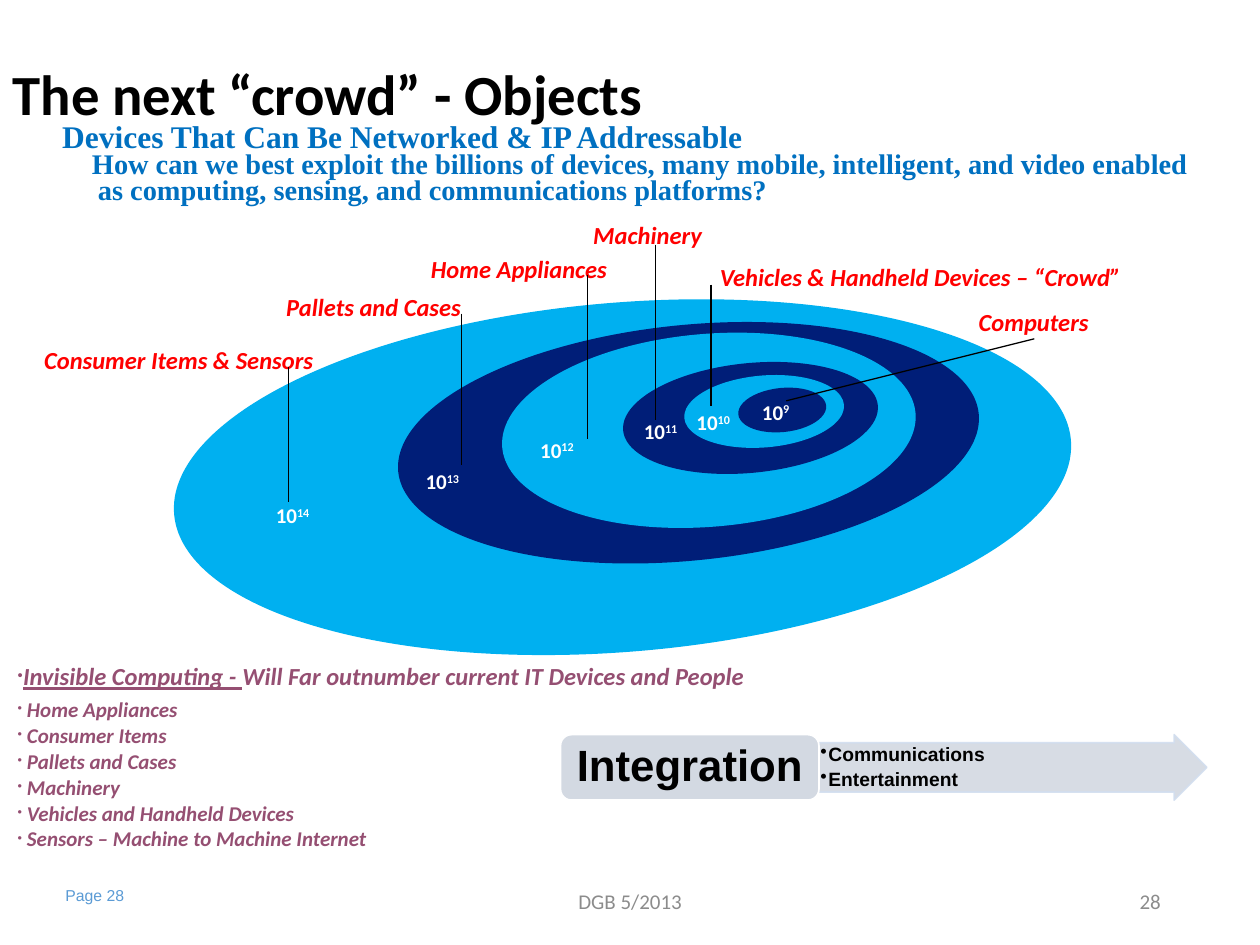
from dataclasses import dataclass

from lxml import etree
from pptx import Presentation
from pptx.dml.color import RGBColor
from pptx.enum.shapes import MSO_CONNECTOR, MSO_SHAPE
from pptx.enum.text import MSO_ANCHOR, MSO_AUTO_SIZE, PP_ALIGN
from pptx.oxml.ns import qn
from pptx.util import Cm, Pt

LEFT, CENTER, RIGHT = PP_ALIGN.LEFT, PP_ALIGN.CENTER, PP_ALIGN.RIGHT
TOP, MIDDLE, BOTTOM = MSO_ANCHOR.TOP, MSO_ANCHOR.MIDDLE, MSO_ANCHOR.BOTTOM
OVAL, ARROW, ROUNDED = MSO_SHAPE.OVAL, MSO_SHAPE.RIGHT_ARROW, MSO_SHAPE.ROUNDED_RECTANGLE
STRAIGHT = MSO_CONNECTOR.STRAIGHT
NO_FIT = MSO_AUTO_SIZE.NONE

SKY, NAVY, RED, PLUM = "00B0F0", "001E78", "FF0000", "954F72"
BLACK, WHITE, BLUE, GREY, PANEL = "000000", "FFFFFF", "0070C0", "8C8C8C", "D3D9E2"
SERIF = "Times New Roman"


@dataclass
class Ring:
    """One device class: ellipse box, count, label and leader line, in cm."""
    ellipse: tuple
    exponent: str
    count_at: tuple
    label: str
    label_at: tuple
    leader: tuple
    align: PP_ALIGN = LEFT
    wrap: bool = False


RINGS = [
    Ring((3.48, 6.1, 18.14, 7.04), "14", (5.31, 10.01), "Consumer Items & Sensors",
         (0.64, 6.83, 7.52), (5.82, 7.39, 5.82, 10.11), wrap=True),
    Ring((8, 6.55, 11.76, 4.75), "13", (8.33, 9.32), "Pallets and Cases",
         (5.16, 5.77, 4.75), (9.3, 6.32, 9.3, 9.37), CENTER),
    Ring((10.11, 6.73, 8.36, 3.89), "12", (10.64, 8.69), "Home Appliances",
         (8.13, 5, 4.67), (11.84, 5.54, 11.84, 8.84), CENTER),
    Ring((12.55, 7.32, 5.16, 2.21), "11", (12.73, 8.31), "Machinery",
         (11.71, 4.32, 2.97), (13.21, 4.93, 13.21, 8.46)),
    Ring((13.79, 7.57, 3.23, 1.45), "10", (13.79, 8.13), "Vehicles & Handheld Devices – “Crowd”",
         (14.05, 5.16, 9.02), (14.33, 5.74, 14.33, 8.18), CENTER, True),
    Ring((14.88, 7.82, 1.78, 0.89), "9", (15.11, 7.92), "Computers",
         (19.48, 6.07, 3.15), (20.85, 6.83, 15.85, 8.08)),
]

DEVICES = ["Home Appliances", "Consumer Items", "Pallets and Cases", "Machinery",
           "Vehicles and Handheld Devices", "Sensors – Machine to Machine Internet"]


def rgb(value: str) -> RGBColor:
    return RGBColor.from_string(value)


def add_run(p, text: str, size=12, color=BLACK, font="Calibri", bold=False,
            italic=False, underline=False, raised=False):
    r = p.add_run()
    r.text = text
    f = r.font
    f.size, f.name, f.bold, f.italic, f.underline = Pt(size), font, bold, italic, underline
    f.color.rgb = rgb(color)
    if raised:
        r._r.get_or_add_rPr().set("baseline", "30000")
    return r


def format_paragraph(p, align=LEFT, spacing=1.0, before=0, after=0, margin=0, indent=0, bullet_size=None):
    """Margin and indent are in cm; bullet_size is a percentage of the text."""
    p.alignment, p.line_spacing = align, spacing
    p.space_before, p.space_after = Pt(before), Pt(after)
    pPr = p._p.get_or_add_pPr()
    pPr.set("marL", str(Cm(margin)))
    pPr.set("indent", str(Cm(indent)))
    if bullet_size:
        etree.SubElement(pPr, qn("a:buSzPct")).set("val", str(bullet_size * 1000))
        etree.SubElement(pPr, qn("a:buChar")).set("char", "•")


def next_paragraph(tf, first: bool):
    return tf.paragraphs[0] if first else tf.add_paragraph()


def place(sp, x, y, w, h):
    sp.left, sp.top, sp.width, sp.height = Cm(x), Cm(y), Cm(w), Cm(h)


def add_text_box(s, box: tuple, wrap=True, anchor=TOP, align=LEFT):
    tf = s.shapes.add_textbox(*map(Cm, box)).text_frame
    tf.word_wrap, tf.vertical_anchor = wrap, anchor
    tf.paragraphs[0].alignment = align
    return tf


def add_filled(s, kind, box: tuple, fill: str, line=None, rotation=0.0):
    sp = s.shapes.add_shape(kind, *map(Cm, box))
    sp.shadow.inherit = False
    sp.rotation = rotation
    sp.fill.solid()
    sp.fill.fore_color.rgb = rgb(fill)
    if line:
        sp.line.color.rgb, sp.line.width = rgb(line), Pt(1)
    else:
        sp.line.fill.background()
    return sp


def add_leader(s, ends: tuple):
    c = s.shapes.add_connector(STRAIGHT, *map(Cm, ends))
    c.line.color.rgb, c.line.width = rgb(BLACK), Pt(0.75)
    etree.SubElement(c._element.spPr, qn("a:effectLst"))


def fill_title(sp):
    place(sp, 0, 0.56, 25.4, 3.58)
    tf = sp.text_frame
    tf.word_wrap, tf.auto_size, tf.vertical_anchor = True, NO_FIT, BOTTOM
    tf.margin_bottom = 0
    lines = [(["The next “crowd” - Objects"], 32.4, BLACK, "Calibri", 0, 0),
             (["Devices That Can Be Networked & IP Addressable"], 18, BLUE, SERIF, 1, 0),
             (["How can we best exploit the billions of devices, many mobile, intelligent, and video enabled",
               "as computing, sensing, and communications platforms?"], 16.2, BLUE, SERIF, 1.72, -0.12)]
    for i, (parts, size, color, font, margin, indent) in enumerate(lines):
        p = next_paragraph(tf, i == 0)
        format_paragraph(p, spacing=0.75, margin=margin, indent=indent)
        for j, part in enumerate(parts):
            if j:
                p.add_line_break()
                p.line_spacing = 0.75
            add_run(p, part, size, color, font, bold=True)


def fill_device_list(sp):
    place(sp, 0.1, 13.34, 19.86, 4.19)
    tf = sp.text_frame
    tf.word_wrap, tf.auto_size = True, NO_FIT
    style = dict(color=PLUM, bold=True, italic=True)
    p = tf.paragraphs[0]
    format_paragraph(p, spacing=0.75, margin=0.11, indent=-0.11, bullet_size=60)
    add_run(p, "Invisible Computing - ", 14, underline=True, **style)
    add_run(p, "Will Far outnumber current IT Devices and People", 14, **style)
    for i, device in enumerate(DEVICES):
        p = tf.add_paragraph()
        format_paragraph(p, spacing=0.75, before=4 if i else 7, margin=0.19, indent=-0.19, bullet_size=60)
        add_run(p, device, **style)


def draw_rings(s):
    for i, ring in enumerate(RINGS):
        add_filled(s, OVAL, ring.ellipse, NAVY if i % 2 else SKY, rotation=354.3 if i % 2 else 355.3)
    for ring in RINGS:
        p = add_text_box(s, (*ring.count_at, 2.16, 0.76)).paragraphs[0]
        add_run(p, "10", color=WHITE, bold=True)
        add_run(p, ring.exponent, color=WHITE, bold=True, raised=True)
        tf = add_text_box(s, (*ring.label_at, 0.86), ring.wrap, align=ring.align)
        add_run(tf.paragraphs[0], ring.label, 14, RED, bold=True, italic=True)
    for ring in RINGS:
        add_leader(s, ring.leader)


def draw_integration(s):
    arrow = add_filled(s, ARROW, (16.51, 14.81, 7.82, 1.32), PANEL, "D2DEEF")
    arrow.adjustments[0], arrow.adjustments[1] = 0.75, 0.5
    for color in arrow._element.spPr.iter(qn("a:srgbClr")):
        etree.SubElement(color, qn("a:alpha")).set("val", "90000")
    tf = add_text_box(s, (16.51, 14.99, 7.34, 0.99))
    tf.margin_left = tf.margin_right = tf.margin_top = tf.margin_bottom = Cm(0.03)
    for i, item in enumerate(["Communications", "Entertainment"]):
        p = next_paragraph(tf, i == 0)
        format_paragraph(p, spacing=0.9, after=2, margin=0.16, indent=-0.16, bullet_size=100)
        add_run(p, item, 11, font="Arial", bold=True)
    tf = add_filled(s, ROUNDED, (11.3, 14.81, 5.21, 1.32), PANEL, WHITE).text_frame
    tf.vertical_anchor = MIDDLE
    format_paragraph(tf.paragraphs[0], CENTER, 0.9)
    add_run(tf.paragraphs[0], "Integration", 25, font="Arial", bold=True)


def main():
    prs = Presentation()
    prs.slide_width, prs.slide_height = Cm(25.4), Cm(19.05)
    s = prs.slides.add_slide(prs.slide_layouts[1])
    fill_title(s.shapes.title)
    fill_device_list(s.placeholders[1])
    draw_rings(s)
    draw_integration(s)
    footers = [("Page 28", (1.07, 17.83, 2.26, 0.43), LEFT, dict(size=9, color="5B9BD5", font="Arial")),
               ("DGB 5/2013", (8.41, 17.65, 8.59, 1.02), CENTER, dict(color=GREY)),
               ("28", (17.93, 17.65, 5.72, 1.02), RIGHT, dict(color=GREY))]
    for text, box, align, style in footers:
        add_run(add_text_box(s, box, anchor=MIDDLE, align=align).paragraphs[0], text, **style)
    prs.save("out.pptx")


if __name__ == "__main__":
    main()
